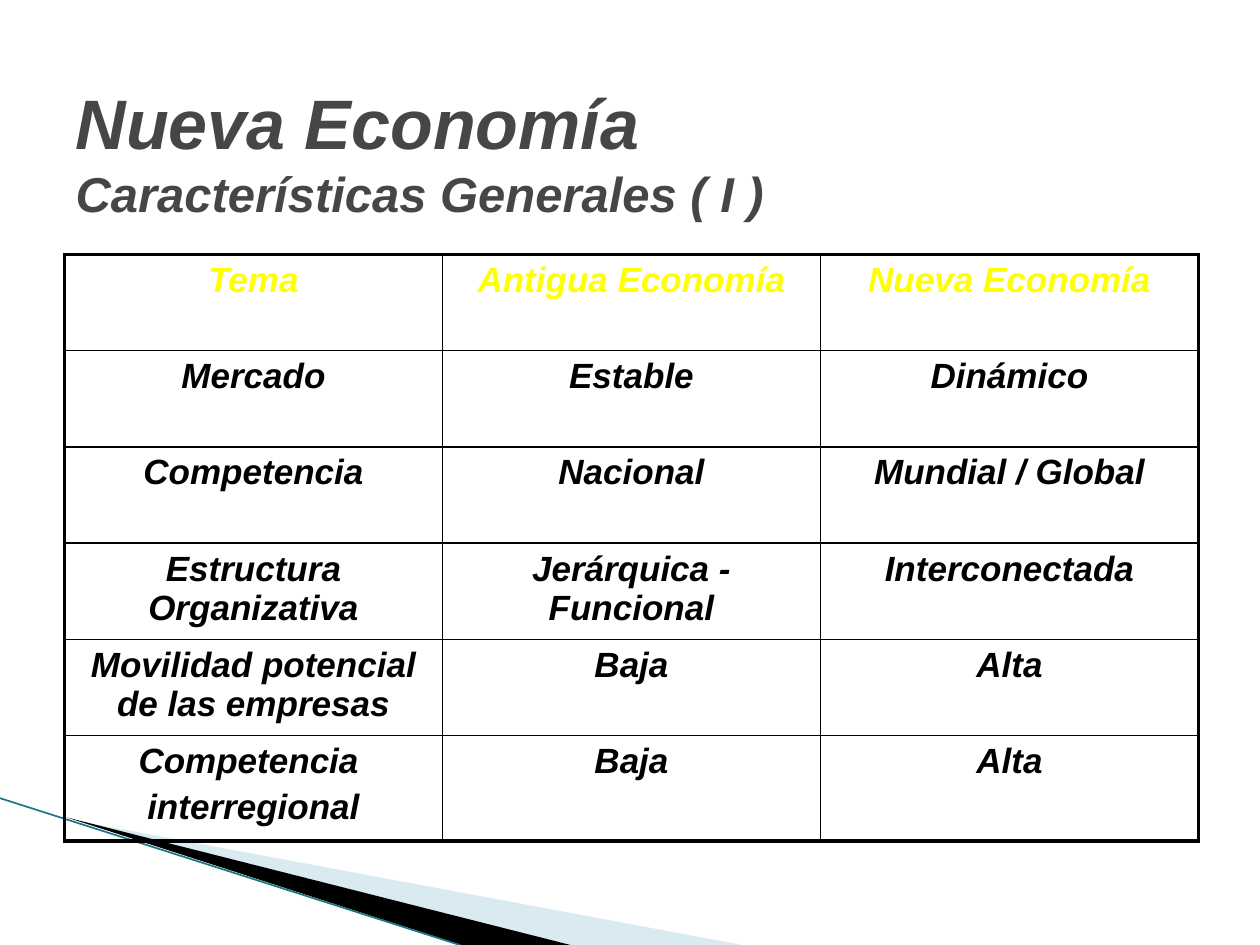
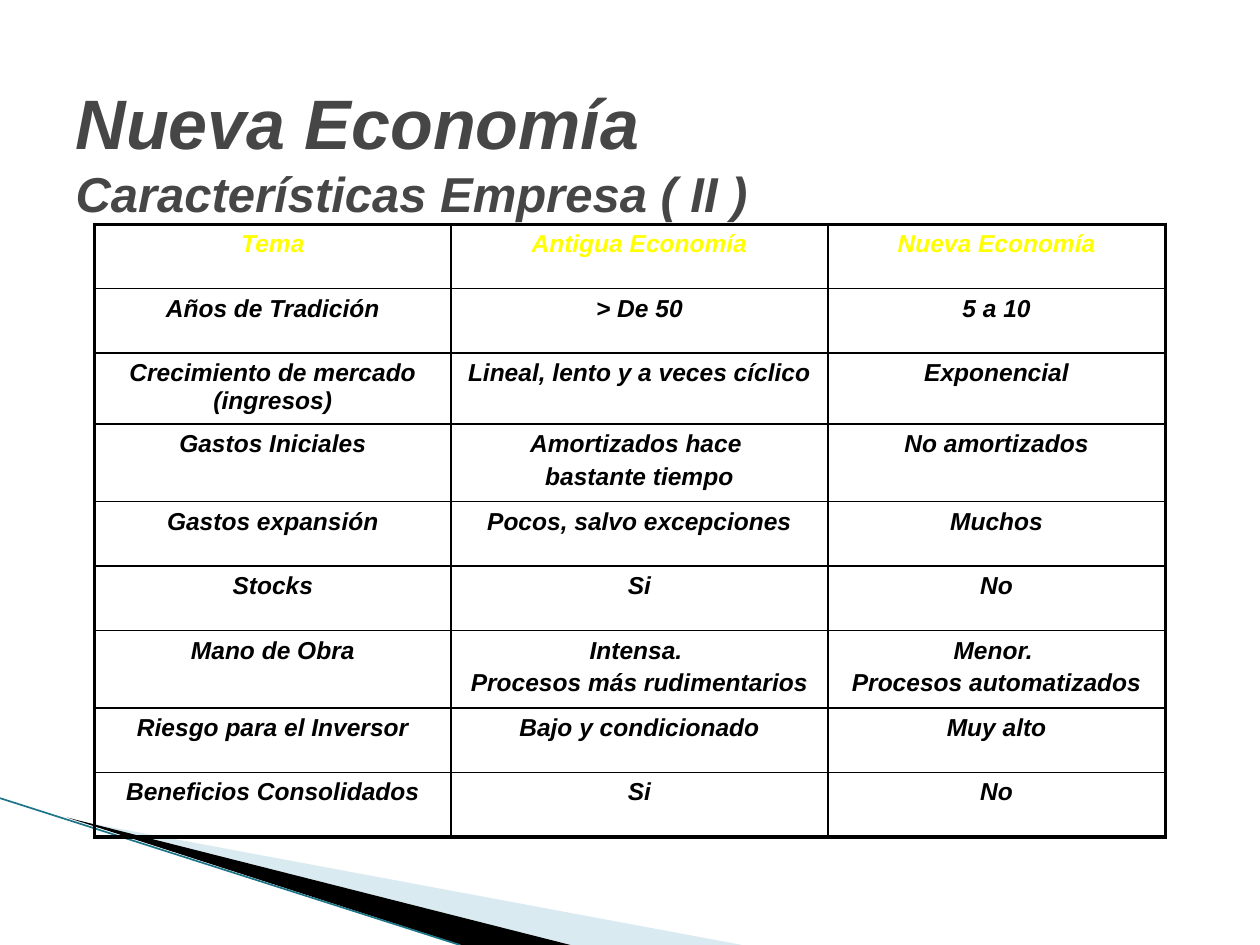
import pptx
import pptx.util
import pptx.dml.color
import pptx.enum.shapes
import pptx.enum.text
import pptx.oxml.ns
from lxml import etree

Cm, Pt = pptx.util.Cm, pptx.util.Pt

COLORS = {
    "title": "464646",
    "header": "FFFF00",
    "text": "000000",
    "border": "000000",
    "pale": "A0CBDC",
    "dark": "000000",
    "line": "1B7587",
}
FONT = "Arial"
TITLE_BOX = (1.27, 1.07, 22.86, 3.81)
OUTER_WIDTH, INNER_WIDTH = 2.25, 1

HEADER = ["Tema", "Antigua Economía", "Nueva Economía"]

# "\n" inside a cell starts a new paragraph
PAGES = [
    {
        "subtitle": "Características Generales ( I )",
        "corner": (1.3, 5.13),
        "columns": [7.62] * 3,
        "heights": [1.94] * 5 + [2.12],
        "size": 20,
        "rows": [
            HEADER,
            ["Mercado", "Estable", "Dinámico"],
            ["Competencia", "Nacional", "Mundial / Global"],
            ["Estructura Organizativa", "Jerárquica - Funcional", "Interconectada"],
            ["Movilidad potencial de las empresas", "Baja", "Alta"],
            ["Competencia \ninterregional", "Baja", "Alta"],
        ],
    },
    {
        "subtitle": "Características Empresa ( II )",
        "corner": (1.91, 4.52),
        "columns": [7.18, 7.6, 6.8],
        "heights": [1.3, 1.3, 1.43, 1.56, 1.3, 1.3, 1.56, 1.3, 1.3],
        "size": 14,
        "rows": [
            HEADER,
            ["Años de Tradición", "> De 50", "5 a 10"],
            ["Crecimiento de mercado (ingresos)", "Lineal, lento y a veces cíclico", "Exponencial"],
            ["Gastos Iniciales", "Amortizados hace \nbastante tiempo", "No amortizados"],
            ["Gastos expansión", "Pocos, salvo excepciones", "Muchos"],
            ["Stocks", "Si", "No"],
            ["Mano de Obra", "Intensa. \nProcesos más rudimentarios",
             "Menor. \nProcesos automatizados"],
            ["Riesgo para el Inversor", "Bajo y condicionado", "Muy alto"],
            ["Beneficios Consolidados", "Si", "No"],
        ],
    },
]


def rgb(name):
    return pptx.dml.color.RGBColor.from_string(COLORS[name])


def add_child(parent, tag, **attributes):
    return etree.SubElement(parent, pptx.oxml.ns.qn(tag), attributes)


def add_span(para, text, size, color):
    span = para.add_run()
    span.text = text
    font = span.font
    font.name, font.size = FONT, Pt(size)
    font.bold = font.italic = True
    font.color.rgb = rgb(color)


def add_wedge(page, points, color, opacity=100):
    corners = [(Cm(x), Cm(y)) for x, y in points]
    builder = page.shapes.build_freeform(*corners[0])
    builder.add_line_segments(corners[1:], close=True)
    wedge = builder.convert_to_shape()
    wedge.shadow.inherit = False
    wedge.line.fill.background()
    wedge.fill.solid()
    wedge.fill.fore_color.rgb = rgb(color)
    if opacity < 100:
        tint = wedge.element.spPr.find(".//" + pptx.oxml.ns.qn("a:srgbClr"))
        add_child(tint, "a:alpha", val=str(opacity * 1000))


def add_corner_band(page, bottom):
    """Wedges and line that run down to the bottom edge of the page."""
    add_wedge(page, [(1.4, bottom - 2.53), (14.96, bottom), (11.49, bottom)], "pale", 40)
    add_wedge(page, [(1.35, bottom - 2.57), (11.5, bottom), (9.3, bottom)], "dark")
    line = page.shapes.add_connector(
        pptx.enum.shapes.MSO_CONNECTOR.STRAIGHT, 0, Cm(bottom - 2.96), Cm(9.27), Cm(bottom))
    line.line.color.rgb = rgb("line")
    line.line.width = Pt(0.95)
    add_child(line.element.spPr, "a:effectLst")


def add_title(page, box, subtitle):
    title = page.shapes.title
    title.left, title.top, title.width, title.height = (Cm(length) for length in box)
    frame = title.text_frame
    frame.auto_size = pptx.enum.text.MSO_AUTO_SIZE.NONE
    frame.vertical_anchor = pptx.enum.text.MSO_ANCHOR.MIDDLE
    frame.margin_bottom = 0
    para = frame.paragraphs[0]
    para.alignment = pptx.enum.text.PP_ALIGN.LEFT
    add_span(para, "Nueva Economía ", 40, "title")
    para.add_line_break()
    add_span(para, subtitle, 28, "title")


def set_borders(cell, outer_sides):
    properties = cell._tc.get_or_add_tcPr()
    for side in "LRTB":
        width = OUTER_WIDTH if side in outer_sides else INNER_WIDTH
        border = add_child(properties, "a:ln" + side, w=str(Pt(width)))
        add_child(add_child(border, "a:solidFill"), "a:srgbClr", val=COLORS["border"])


def fill_cell(cell, text, size, color):
    for index, words in enumerate(text.split("\n")):
        frame = cell.text_frame
        para = frame.add_paragraph() if index else frame.paragraphs[0]
        para.alignment = pptx.enum.text.PP_ALIGN.CENTER
        para.space_before = Pt(size * 0.2)
        add_span(para, words, size, color)


def add_comparison(page, corner, columns, heights, size, rows):
    left, top = corner
    table = page.shapes.add_table(
        len(rows), len(columns), Cm(left), Cm(top), Cm(sum(columns)), Cm(sum(heights))).table
    table.first_row = table.horz_banding = False
    for column, width in zip(table.columns, columns):
        column.width = Cm(width)
    for row, height in zip(table.rows, heights):
        row.height = Cm(height)

    last_row, last_column = len(rows) - 1, len(columns) - 1
    for r, row in enumerate(rows):
        for c, text in enumerate(row):
            cell = table.cell(r, c)
            edges = {"L": c == 0, "R": c == last_column, "T": r == 0, "B": r == last_row}
            set_borders(cell, [side for side, outer in edges.items() if outer])
            cell.fill.background()
            fill_cell(cell, text, size, "text" if r else "header")


def add_page(deck, subtitle, **comparison):
    page = deck.slides.add_slide(deck.slide_layouts.get_by_name("Title Only"))
    add_corner_band(page, deck.slide_height.cm)
    add_title(page, TITLE_BOX, subtitle)
    add_comparison(page, **comparison)


def main():
    deck = pptx.Presentation()
    deck.slide_width, deck.slide_height = Cm(25.4), Cm(19.05)
    for content in PAGES:
        add_page(deck, **content)
    deck.save("out.pptx")


if __name__ == "__main__":
    main()
